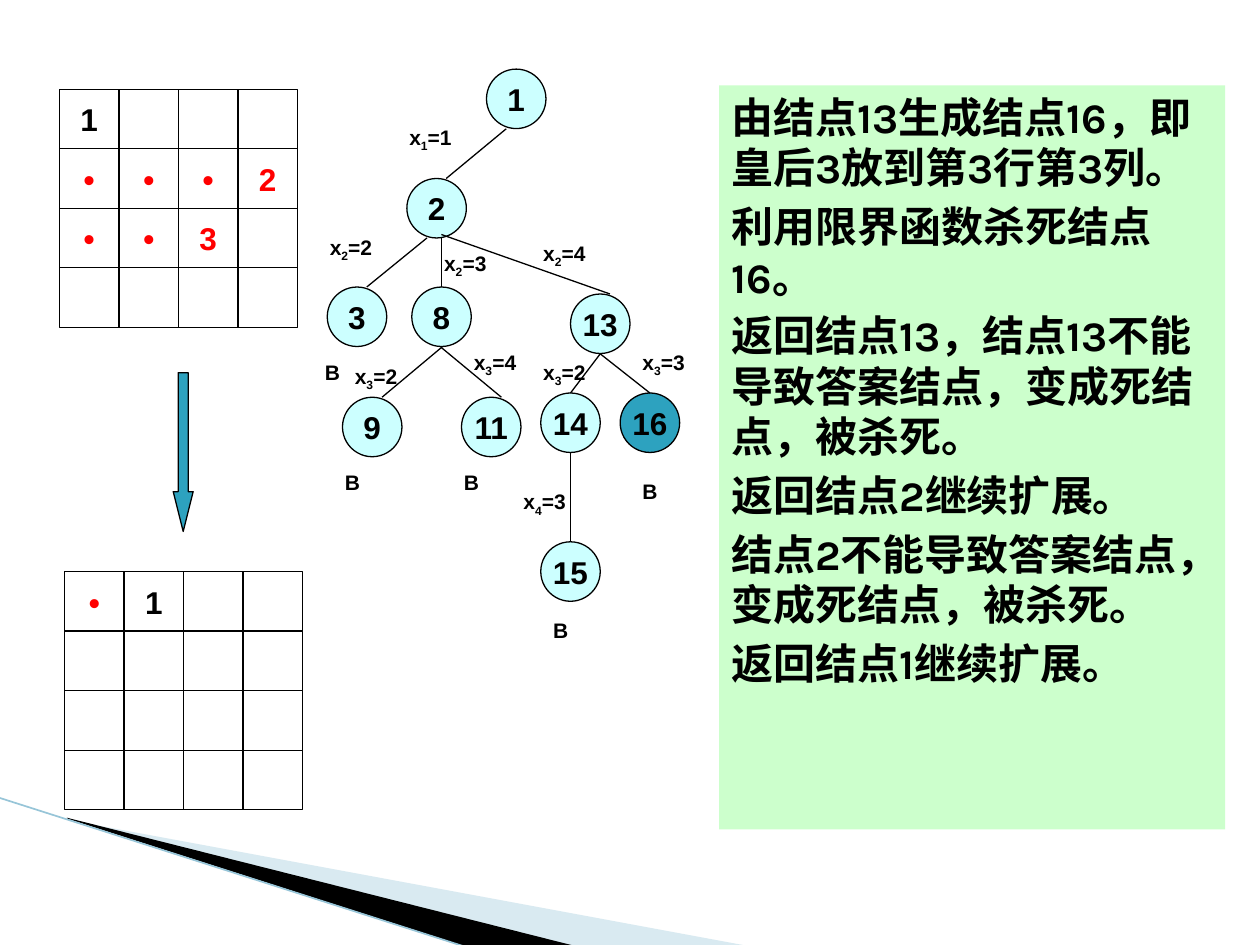
import pptx
import pptx.util
import pptx.dml.color
import pptx.enum.shapes
import pptx.enum.text
import lxml.etree
from dataclasses import dataclass
from pptx.util import Pt


@dataclass(frozen=True)
class Theme:
    black: str = "000000"
    red: str = "FF0000"
    node: str = "CCFFFF"
    accent: str = "2DA2BF"
    note: str = "CCFFCC"
    wedge: str = "A0CBDC"
    wedge_edge: str = "97C5D8"
    diagram_font: str = "Arial"
    note_font: str = "Karla"
    label_size: int = 12
    node_size: int = 18
    note_size: int = 24


theme = Theme()
kinds = pptx.enum.shapes.MSO_SHAPE
rgb = pptx.dml.color.RGBColor.from_string


def paint(shape, fill=None, line=None):
    shape.shadow.inherit = False
    if fill:
        shape.fill.solid()
        shape.fill.fore_color.rgb = rgb(fill)
    else:
        shape.fill.background()
    if line:
        shape.line.color.rgb = rgb(line)
        shape.line.width = Pt(0.75)
    else:
        shape.line.fill.background()


def write(shape, *paragraphs, size=theme.node_size, font=theme.diagram_font,
          color=theme.black, align="CENTER", anchor="MIDDLE", wrap=False, after=0):
    """Each paragraph is a list of runs; every second run is a subscript."""
    frame = shape.text_frame
    frame.word_wrap = wrap
    frame.vertical_anchor = pptx.enum.text.MSO_ANCHOR[anchor]
    for index, runs in enumerate(paragraphs):
        paragraph = frame.add_paragraph() if index else frame.paragraphs[0]
        paragraph.alignment = pptx.enum.text.PP_ALIGN[align]
        paragraph.space_after = Pt(after)
        for position, text in enumerate(runs):
            run = paragraph.add_run()
            run.text = text
            run.font.name = font
            run.font.size = Pt(size)
            run.font.bold = True
            run.font.color.rgb = rgb(color)
            if position % 2:
                run.font._element.set("baseline", "-25000")


presentation = pptx.Presentation()
presentation.slide_width, presentation.slide_height = Pt(720), Pt(540)
slide = presentation.slides.add_slide(presentation.slide_layouts[6])
shapes = slide.shapes

# Corner wedges
wedges = [
    ([(39.6, 468.7), (428.4, 540.7), (328.3, 540.7), (39.6, 468)], theme.wedge, 40),
    ([(38.2, 467.3), (329, 540.7), (267.8, 541.4), (38.9, 468)], theme.black, 100),
]
for (start, *corners), color, opacity in wedges:
    builder = shapes.build_freeform(Pt(start[0]), Pt(start[1]), scale=1.0)
    builder.add_line_segments([(Pt(x), Pt(y)) for x, y in corners], close=True)
    wedge = builder.convert_to_shape()
    paint(wedge, fill=color)
    if opacity < 100:
        color_element = wedge._element.spPr.find(".//" + pptx.oxml.ns.qn("a:srgbClr"))
        alpha = lxml.etree.SubElement(color_element, pptx.oxml.ns.qn("a:alpha"))
        alpha.set("val", str(opacity * 1000))

# Chessboards before and after backtracking
cell_size = 34
boards = [
    (34, 51, ["1   ", "•••2", "••3 ", "    "]),
    (36.9, 326.7, ["•1  ", "    ", "    ", "    "]),
]
for left, top, rows in boards:
    board = shapes.add_group_shape()
    for row, marks in enumerate(rows):
        for column, mark in enumerate(marks):
            cell = board.shapes.add_shape(
                kinds.RECTANGLE, Pt(left + column * cell_size),
                Pt(top + row * cell_size), Pt(cell_size), Pt(cell_size))
            paint(cell, line=theme.black)
            if mark != " ":
                write(cell, [mark], color=theme.black if mark == "1" else theme.red)

# Arrow between the boards
arrow = shapes.add_shape(kinds.DOWN_ARROW, Pt(99), Pt(213), Pt(11.4), Pt(90.7))
arrow.adjustments[0], arrow.adjustments[1] = 0.5, 1.995
paint(arrow, fill=theme.accent, line=theme.black)

# Search tree nodes
nodes = {
    "1": (278, 39.5), "2": (232.5, 102), "3": (187, 164), "8": (235.3, 164),
    "9": (195.7, 227), "11": (263.7, 227), "13": (326, 168),
    "14": (309, 224.6), "15": (309, 309.6), "16": (354.4, 224.6),
}
for name, (left, top) in nodes.items():
    node = shapes.add_shape(kinds.OVAL, Pt(left), Pt(top), Pt(34), Pt(34))
    paint(node, fill=theme.accent if name == "16" else theme.node, line=theme.black)
    write(node, [name])

# Tree edges, then the edge of the corner wedge
lines = [
    (289.3, 73.6, 255, 102), (244, 136, 209.6, 164), (252.2, 136, 252.2, 164),
    (252.2, 134, 348.6, 168), (252.6, 198.3, 218.3, 227), (252.2, 198.6, 286.5, 227),
    (343, 202.2, 326, 224.6), (343, 202.2, 371.4, 224.6), (326, 258.6, 326, 309.6),
    (-0.7, 455.8, 267.1, 541.4),
]
for ends in lines:
    connector = shapes.add_connector(
        pptx.enum.shapes.MSO_CONNECTOR.STRAIGHT, *[Pt(value) for value in ends])
    on_wedge = ends is lines[-1]
    connector.line.color.rgb = rgb(theme.wedge_edge if on_wedge else theme.black)
    connector.line.width = Pt(0.95 if on_wedge else 0.75)
    lxml.etree.SubElement(connector._element.spPr, pptx.oxml.ns.qn("a:effectLst"))

# Edge labels and marks of bounded nodes
labels = [
    (226.8, 67.7, ["x", "1", "=1"]), (181.4, 130.3, ["x", "2", "=2"]),
    (246.7, 139.5, ["x", "2", "=3"]), (303.3, 133.8, ["x", "2", "=4"]),
    (195.7, 204.2, ["x", "3", "=2"]), (263.7, 196.3, ["x", "3", "=4"]),
    (303.3, 202, ["x", "3", "=2"]), (360, 196.3, ["x", "3", "=3"]),
    (292, 275.8, ["x", "4", "=3"]),
    (178.6, 202, ["B"]), (190, 264.5, ["B"]), (258, 264.5, ["B"]),
    (360, 270, ["B"]), (309, 349.5, ["B"]),
]
for left, top, runs in labels:
    label = shapes.add_textbox(Pt(left), Pt(top), Pt(45.4), Pt(21.6))
    write(label, runs, size=theme.label_size, align="LEFT", anchor="TOP", wrap=True)

# Explanation panel
panel = shapes.add_shape(kinds.RECTANGLE, Pt(411), Pt(48.8), Pt(289.2), Pt(425.2))
paint(panel, fill=theme.note)
write(
    panel,
    ["由结点13生成结点16，即皇后3放到第3行第3列。"],
    ["利用限界函数杀死结点16。"],
    ["返回结点13，结点13不能导致答案结点，变成死结点，被杀死。"],
    ["返回结点2继续扩展。"],
    ["结点2不能导致答案结点，变成死结点，被杀死。"],
    ["返回结点1继续扩展。"],
    size=theme.note_size, font=theme.note_font,
    align="LEFT", anchor="TOP", wrap=True, after=4.8)

presentation.save("out.pptx")
